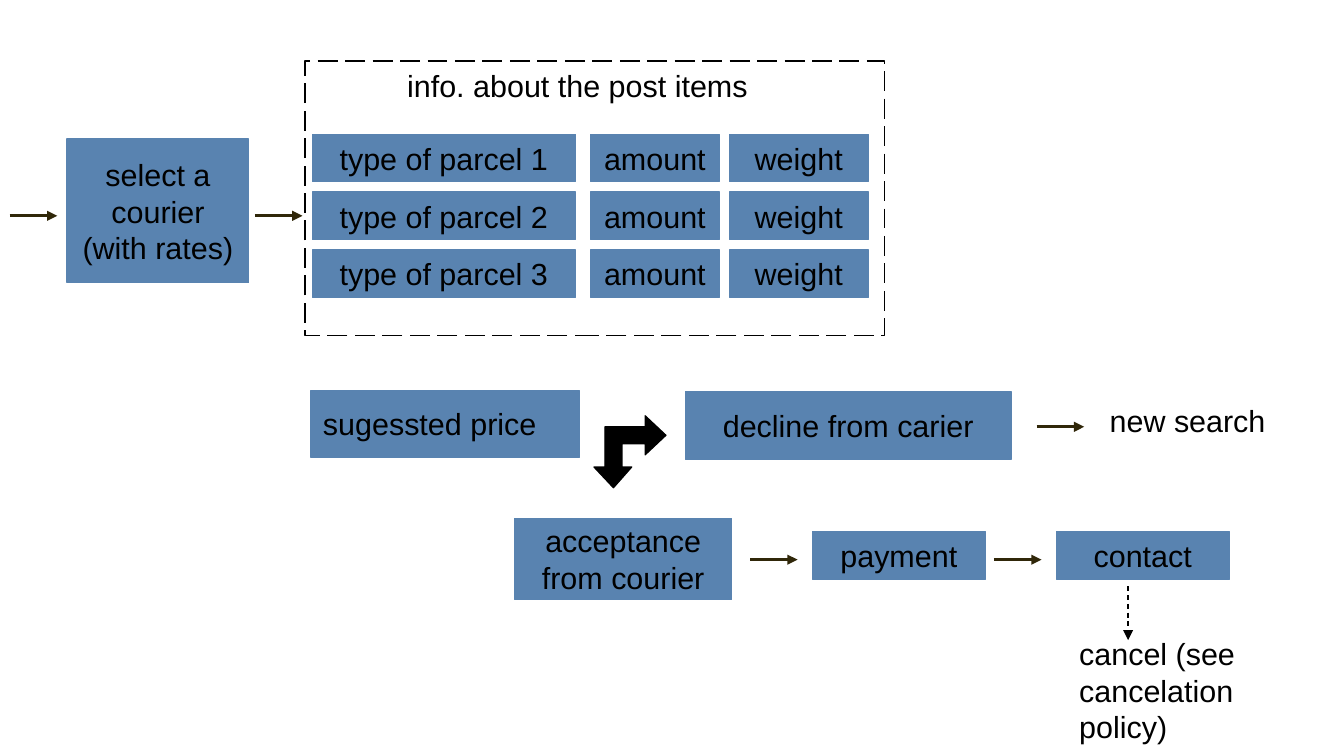
from lxml.etree import SubElement
from pptx import Presentation
from pptx.dml.color import RGBColor
from pptx.enum.shapes import MSO_CONNECTOR, MSO_SHAPE
from pptx.enum.text import MSO_ANCHOR, PP_ALIGN
from pptx.oxml.ns import qn
from pptx.util import Inches, Pt

COLORS = {"step": "5983B0", "arrow": "302709", "ink": "000000"}
CELL = 0.25  # inches per grid column and row
ARROW_LENGTH = 1.56
ROW_HEIGHT = 1.56


def grid(*cells):
    return [Inches(cell * CELL) for cell in cells]


def within(box, left, top, width, height):
    """Move a place given relative to box onto the slide's grid."""
    return box[0] + left, box[1] + top, width, height


def color(name):
    return RGBColor.from_string(COLORS[name])


def write(shape, text, align=PP_ALIGN.LEFT, anchor=MSO_ANCHOR.TOP, size=18):
    frame = shape.text_frame
    frame.word_wrap = True
    frame.vertical_anchor = anchor
    paragraph = frame.paragraphs[0]
    paragraph.alignment = align
    run = paragraph.add_run()
    run.text = text
    run.font.name = "Arial"
    run.font.size = Pt(size)
    run.font.color.rgb = color("ink")


def paint(shape, fill, line):
    shape.shadow.inherit = False
    if fill:
        shape.fill.solid()
        shape.fill.fore_color.rgb = color(fill)
    else:
        shape.fill.background()
    shape.line.color.rgb = color(line)
    shape.line.width = Pt(0)


def set_dash(line, dash, gap):
    """Dash and gap are multiples of the line width."""
    line.width = Pt(0.75)
    pattern = SubElement(line._get_or_add_ln(), qn("a:custDash"))
    SubElement(pattern, qn("a:ds"), d=str(dash * 100000), sp=str(gap * 100000))


def add_step(shapes, place, text, align=PP_ALIGN.CENTER):
    shape = shapes.add_shape(MSO_SHAPE.RECTANGLE, *grid(*place))
    paint(shape, "step", "step")
    write(shape, text, align=align, anchor=MSO_ANCHOR.MIDDLE)


def add_label(shapes, place, text):
    write(shapes.add_textbox(*grid(*place)), text)


def add_arrow(shapes, left, top, across=ARROW_LENGTH, down=0, line="arrow", dash=None):
    ends = grid(left, top, left + across, top + down)
    connector = shapes.add_connector(MSO_CONNECTOR.STRAIGHT, *ends)
    connector.line.color.rgb = color(line)
    connector.line.width = Pt(0)
    if dash:
        set_dash(connector.line, *dash)
    SubElement(connector.line._get_or_add_ln(), qn("a:tailEnd"), type="triangle")
    SubElement(connector._element.spPr, qn("a:effectLst"))


def add_fork(shapes, left, top):
    """Elbow with one head pointing right and one pointing down."""
    outline = [(0.64, 2.36), (1.24, 1.68), (0.92, 1.68), (0.92, 0.92),
               (1.68, 0.92), (1.68, 1.28), (2.36, 0.64), (1.68, 0),
               (1.68, 0.36), (0.36, 0.36), (0.36, 1.68), (0, 1.68)]
    points = [grid(left + x, top + y) for x, y in outline]
    builder = shapes.build_freeform(*points[0])
    builder.add_line_segments(points[1:], close=True)
    paint(builder.convert_to_shape(), "ink", "ink")


def courier_selection(shapes, box):
    left, top, width, height = box
    add_step(shapes, box, "select a courier (with rates)")
    for start in (left - 1.88, left + width + 0.2):
        add_arrow(shapes, start, top + 2.52)


def parcel_panel(shapes, box):
    columns = [("type of parcel {}", 0.24, 8.64), ("weight", 13.92, 4.56),
               ("amount", 9.36, 4.24)]
    for row in range(3):
        group = shapes.add_group_shape()
        for text, left, width in columns:
            place = within(box, left, 2.4 + 1.9 * row, width, ROW_HEIGHT)
            add_step(group.shapes, place, text.format(row + 1))
    frame = shapes.add_shape(MSO_SHAPE.RECTANGLE, *grid(*box))
    paint(frame, None, "ink")
    set_dash(frame.line, 16, 6)
    add_label(shapes, within(box, 2.96, 0, 14, 1.52), "info. about the post items")


def price_decision(shapes, box):
    left, top, width, height = box
    add_step(shapes, within(box, 0, 0, 8.8, 2.2), "sugessted price", PP_ALIGN.LEFT)
    add_step(shapes, within(box, 12.28, 0.04, 10.68, 2.24), "decline from carier")
    add_fork(shapes, left + 9.28, top + 0.84)
    add_arrow(shapes, left + 23.8, top + 1.2)
    add_label(shapes, within(box, 25.8, 0.2, width - 25.8, height), "new search")


def accepted_order(shapes, box):
    left, top, width, height = box
    add_step(shapes, within(box, 0, 0, 7.12, 2.68), "acceptance from courier")
    for index, text in enumerate(("payment", "contact")):
        shift = 8 * index
        add_step(shapes, within(box, 9.76 + shift, 0.44, 5.68, ROW_HEIGHT), text)
        add_arrow(shapes, left + 7.72 + shift, top + 1.36)
    add_label(shapes, within(box, 18.12, 3.64, width - 18.12, height - 3.64),
              "cancel (see cancelation policy)")
    add_arrow(shapes, left + 20.12, top + 2.24, across=0, down=1.76,
              line="ink", dash=(4, 3))


def main():
    presentation = Presentation()
    presentation.slide_width = Inches(11.02)
    presentation.slide_height = Inches(6.2)
    slide = presentation.slides.add_slide(presentation.slide_layouts[6])
    shapes = slide.shapes
    courier_selection(shapes, (2.2, 4.56, 5.96, 4.72))
    parcel_panel(shapes, (10, 2, 19, 9))
    price_decision(shapes, (10.2, 12.8, 32.8, 2.64))
    accepted_order(shapes, (16.88, 17, 25.12, 7.96))
    presentation.save("out.pptx")


if __name__ == "__main__":
    main()
